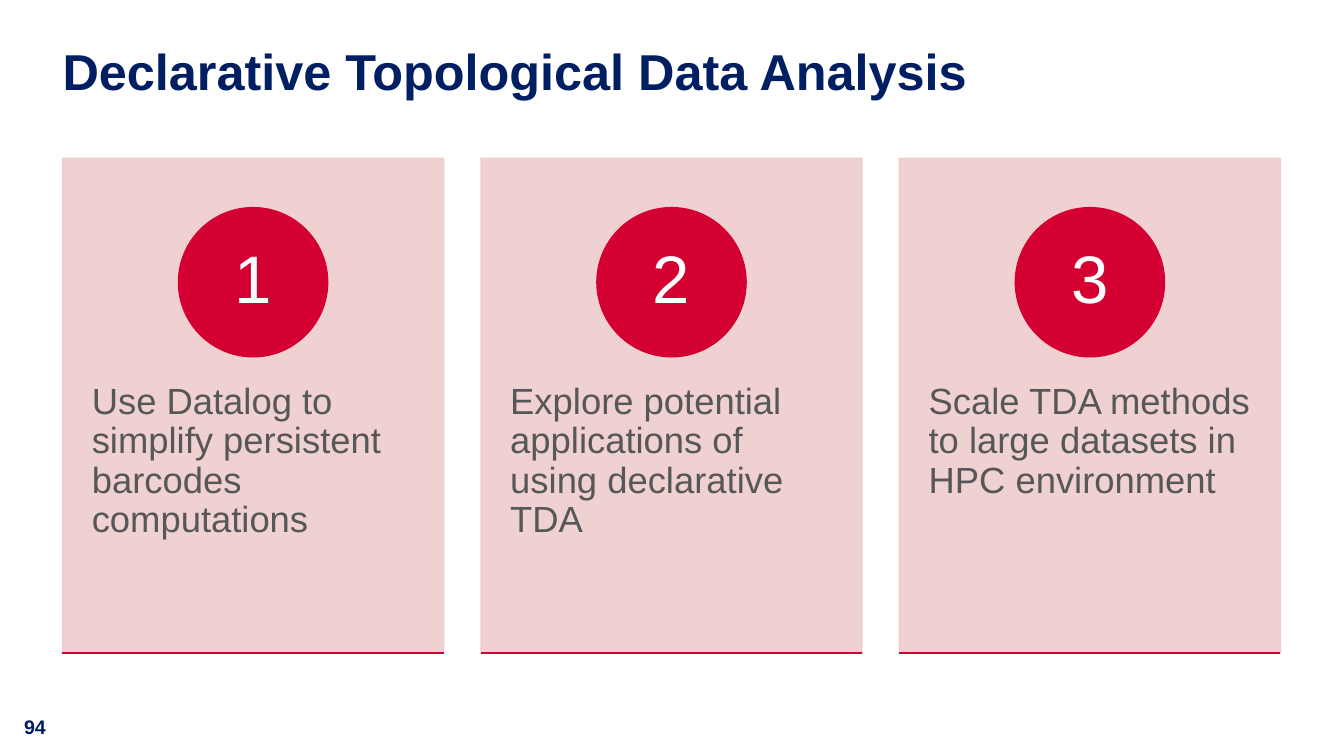
import pptx
import pptx.dml.color
import pptx.enum.shapes
import pptx.enum.text
import pptx.oxml.ns
import pptx.util
from dataclasses import dataclass
from lxml import etree

Inches = pptx.util.Inches
Pt = pptx.util.Pt
ALIGN = pptx.enum.text.PP_ALIGN
ANCHOR = pptx.enum.text.MSO_ANCHOR
SHAPE = pptx.enum.shapes.MSO_SHAPE
STRAIGHT = pptx.enum.shapes.MSO_CONNECTOR.STRAIGHT


@dataclass(frozen=True)
class Theme:
    font: str = "Arial"
    navy: str = "001E62"
    page_navy: str = "001E61"
    red: str = "D40032"
    pink: str = "EFCCCE"
    gray: str = "575757"
    white: str = "FFFFFF"
    title_size: int = 36
    number_size: int = 48
    body_size: int = 26
    page_size: int = 14
    line_width: int = 1


class SlideBuilder:
    def __init__(self, slide, theme):
        self.slide = slide
        self.theme = theme

    def fill_frame(self, frame, wording, size, color, bold=False, margins=(0, 0),
                   align=ALIGN.LEFT, anchor=ANCHOR.TOP, spacing=0.9):
        """Put one styled paragraph in a frame; margins are (horizontal, vertical) in inches."""
        frame.word_wrap = True
        frame.auto_size = pptx.enum.text.MSO_AUTO_SIZE.NONE
        frame.vertical_anchor = anchor
        frame.margin_left = frame.margin_right = Inches(margins[0])
        frame.margin_top = frame.margin_bottom = Inches(margins[1])
        paragraph = frame.paragraphs[0]
        paragraph.alignment = align
        paragraph.line_spacing = spacing
        paragraph.space_before = Pt(0)
        run = paragraph.add_run()
        run.text = wording
        run.font.name = self.theme.font
        run.font.size = Pt(size)
        run.font.bold = bold
        run.font.color.rgb = pptx.dml.color.RGBColor.from_string(color)

    def title(self, wording, left, top, width, height):
        heading = self.slide.shapes.title
        heading.left, heading.top = Inches(left), Inches(top)
        heading.width, heading.height = Inches(width), Inches(height)
        self.fill_frame(heading.text_frame, wording, self.theme.title_size,
                        self.theme.navy, bold=True)

    def text(self, wording, left, top, width, height, size, color, **style):
        box = self.slide.shapes.add_textbox(
            Inches(left), Inches(top), Inches(width), Inches(height))
        self.fill_frame(box.text_frame, wording, size, color, **style)

    def shape(self, preset, left, top, width, height, color, opacity=100):
        figure = self.slide.shapes.add_shape(
            preset, Inches(left), Inches(top), Inches(width), Inches(height))
        figure.shadow.inherit = False
        rgb = pptx.dml.color.RGBColor.from_string(color)
        figure.fill.solid()
        figure.fill.fore_color.rgb = rgb
        figure.line.color.rgb = rgb
        figure.line.width = Pt(self.theme.line_width)
        if opacity < 100:
            for tint in figure._element.spPr.iter(pptx.oxml.ns.qn("a:srgbClr")):
                alpha = etree.SubElement(tint, pptx.oxml.ns.qn("a:alpha"))
                alpha.set("val", str(opacity * 1000))
        return figure

    def rule(self, left, top, width, color):
        line = self.slide.shapes.add_connector(
            STRAIGHT, Inches(left), Inches(top), Inches(left + width), Inches(top))
        line.line.color.rgb = pptx.dml.color.RGBColor.from_string(color)
        line.line.width = Pt(self.theme.line_width)
        etree.SubElement(line._element.spPr, pptx.oxml.ns.qn("a:effectLst"))

    def card(self, number, goal, left):
        """Pink panel with a numbered disc, a goal and a rule at its foot."""
        theme = self.theme
        top, width, height, disc_size = 1.57, 3.78, 4.91, 1.48
        self.shape(SHAPE.RECTANGLE, left, top, width, height, theme.pink, opacity=90)
        self.text(goal, left, 3.44, width, 2.95, theme.body_size, theme.gray,
                  margins=(0.29, 0.36))
        disc = self.shape(SHAPE.OVAL, left + (width - disc_size) / 2, 2.06,
                          disc_size, disc_size, theme.red)
        self.fill_frame(disc.text_frame, str(number), theme.number_size, theme.white,
                        margins=(0.11, 0.01), align=ALIGN.CENTER, anchor=ANCHOR.MIDDLE)
        self.rule(left, top + height, width, theme.red)


def main():
    deck = pptx.Presentation()
    deck.slide_width, deck.slide_height = Inches(13.33), Inches(7.5)
    theme = Theme()
    builder = SlideBuilder(deck.slides.add_slide(deck.slide_layouts[5]), theme)

    builder.text("94", 0.14, 7.04, 0.66, 0.34, theme.page_size, theme.page_navy,
                 bold=True, margins=(0.1, 0.05), spacing=1.0)
    builder.title("Declarative Topological Data Analysis", 0.62, 0.47, 12.08, 0.89)

    goals = [
        "Use Datalog to simplify persistent barcodes computations",
        "Explore potential applications of using declarative TDA",
        "Scale TDA methods to large datasets in HPC environment",
    ]
    first_left, card_pitch = 0.62, 4.15
    for index, goal in enumerate(goals):
        builder.card(index + 1, goal, first_left + index * card_pitch)

    deck.save("out.pptx")


if __name__ == "__main__":
    main()
